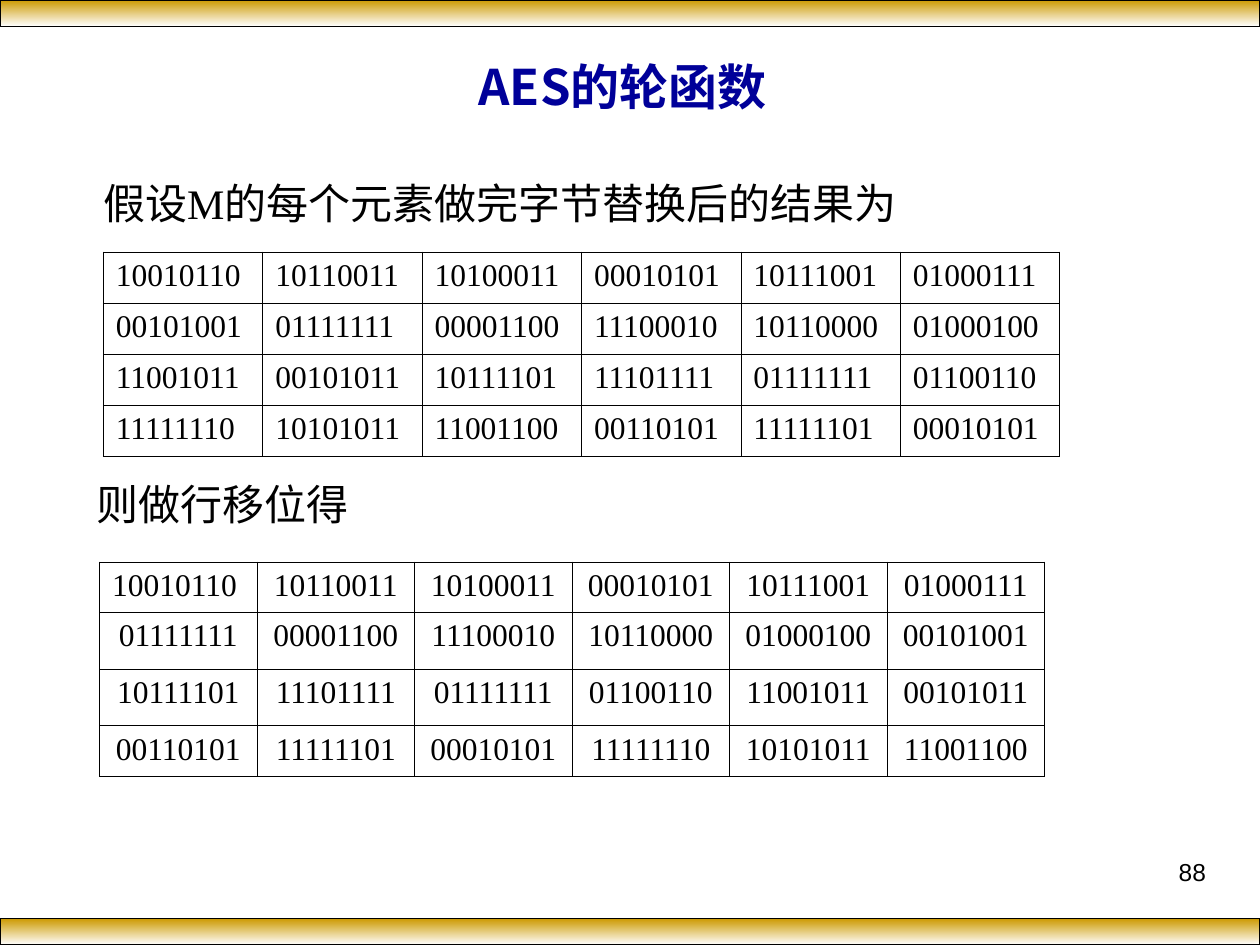
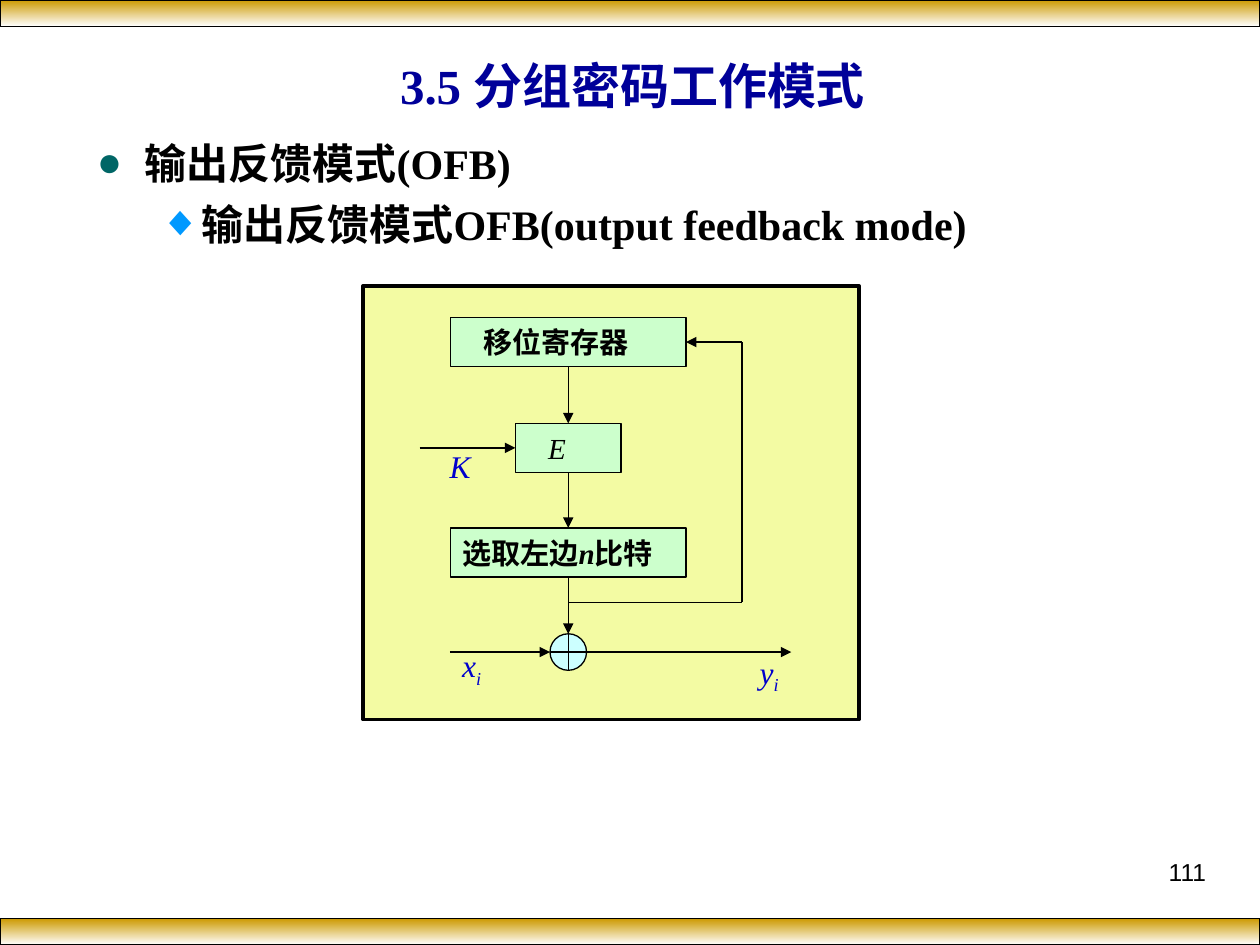
from lxml import etree
from pptx import Presentation
from pptx.dml.color import RGBColor
from pptx.enum.shapes import MSO_CONNECTOR, MSO_SHAPE as SHAPE
from pptx.enum.text import MSO_ANCHOR as ANCHOR, PP_ALIGN as ALIGN
from pptx.oxml.ns import qn
from pptx.util import Inches, Pt

CJK, SERIF, SANS = "Noto Sans CJK SC", "Times New Roman", "Arial"
BLACK, WHITE, GOLD, NAVY, BLUE = "000000", "FFFFFF", "CC9900", "000099", "0000CC"
PANEL, BOX, XOR = "F3FBA3", "CCFFCC", "CCFFFF"

ROUND_TITLE = ("AES的轮函数", CJK, (0.27, 0.37, 9.34, 0.62))
MODE_TITLE = ("3.5 分组密码工作模式", SERIF, (0.52, 0.4, 9, 0.55))

SUBSTITUTED = [
    "10010110 10110011 10100011 00010101 10111001 01000111".split(),
    "00101001 01111111 00001100 11100010 10110000 01000100".split(),
    "11001011 00101011 10111101 11101111 01111111 01100110".split(),
    "11111110 10101011 11001100 00110101 11111101 00010101".split(),
]
# The rows after the row shift; each row moves left by this many columns.
ROW_SHIFTS = [0, 1, 2, 3]
SHIFTED = [row[n:] + row[:n] for row, n in zip(SUBSTITUTED, ROW_SHIFTS)]

CAPTIONS = [
    ("假设M的每个元素做完字节替换后的结果为", (0.72, 1.36, 7.79, 0.5)),
    ("则做行移位得", (0.67, 3.75, 6.59, 0.5)),
]

# text, bullet, bullet colour, left margin, hanging indent
OUTLINE = [
    ("输出反馈模式(OFB)", "●", "006666", 0.38, 0.38),
    ("输出反馈模式OFB(output feedback mode)", "◆", "0099FF", 0.81, 0.31),
]

# text runs, top, width, left indent of the text
STAGES = [
    ([("移位寄存器", {"bold": True})], 2.52, 1.87, 0.16),
    ([("E", {"italic": True})], 3.36, 0.84, 0.16),
    ([("选取左边", {"bold": True}), ("n", {"bold": True, "italic": True}),
      ("比特", {"bold": True})], 4.19, 1.87, 0),
]
# letter, subscript, position
SIGNALS = [
    ("K", "", (3.47, 3.5, 0.34, 0.4)),
    ("x", "i", (3.57, 5.08, 0.54, 0.44)),
    ("y", "i", (5.93, 5.13, 0.54, 0.44)),
]
AXIS_X, STAGE_HEIGHT = 4.51, 0.39
XOR_TOP, XOR_SIZE = 5.03, 0.29
FEEDBACK_X, FEEDBACK_Y = 5.89, 4.78


def rgb(value):
    return RGBColor.from_string(value)


def sub(parent, tag, **attributes):
    return etree.SubElement(parent, qn(tag), **attributes)


def add_run(paragraph, text, size=18, font=SERIF, color=BLACK, bold=False,
            italic=False, baseline=None):
    run = paragraph.add_run()
    run.text = text
    run.font.size, run.font.name = Pt(size), font
    run.font.bold, run.font.italic = bold, italic
    run.font.color.rgb = rgb(color)
    properties = run.font._element
    sub(properties, "a:ea", typeface=CJK)
    if baseline:
        properties.set("baseline", str(baseline))


def write(paragraph, runs, align=ALIGN.LEFT, **style):
    """Fill a paragraph from a string or a list of (text, style) runs."""
    paragraph.alignment = align
    for text, own in [(runs, {})] if isinstance(runs, str) else runs:
        add_run(paragraph, text, **{**style, **own})


def add_frame(slide, at, anchor=ANCHOR.TOP, wrap=True):
    frame = slide.shapes.add_textbox(*map(Inches, at)).text_frame
    frame.word_wrap, frame.vertical_anchor = wrap, anchor
    return frame


def add_label(slide, at, runs, anchor=ANCHOR.TOP, wrap=True, **style):
    write(add_frame(slide, at, anchor, wrap).paragraphs[0], runs, **style)


def add_block(slide, kind, at, fill, line_width=0.75):
    block = slide.shapes.add_shape(kind, *map(Inches, at))
    block.shadow.inherit = False
    if fill:
        block.fill.solid()
        block.fill.fore_color.rgb = rgb(fill)
    block.line.color.rgb = rgb(BLACK)
    block.line.width = Pt(line_width)
    return block


def add_line(slide, start=(0, 0), end=(0, 0), begin=None, finish=None, arrow=True):
    """Draw a line; begin and finish are (shape, side) joints that replace points."""
    line = slide.shapes.add_connector(
        MSO_CONNECTOR.STRAIGHT, *map(Inches, (*start, *end)))
    line.line.color.rgb = rgb(BLACK)
    line.line.width = Pt(0.75)
    if begin:
        line.begin_connect(*begin)
    if finish:
        line.end_connect(*finish)
    if arrow:
        sub(line.line._get_or_add_ln(), "a:tailEnd", type="triangle")
    sub(line._element.spPr, "a:effectLst")


def add_base(deck, title, number):
    """Add a slide with its gold bands, title and page number."""
    slide = deck.slides.add_slide(deck.slide_layouts[6])
    for top in (0, 7.29):
        band = add_block(slide, SHAPE.RECTANGLE, (0, top, 10, 0.21), None)
        band.fill.gradient()
        band.fill.gradient_angle = 270
        for stop, color in zip(band.fill.gradient_stops, (GOLD, WHITE)):
            stop.color.rgb = rgb(color)
    text, font, at = title
    add_label(slide, at, text, ANCHOR.MIDDLE, align=ALIGN.CENTER,
              size=28, font=font, color=NAVY, bold=True)
    add_label(slide, (7.17, 6.75, 2.5, 0.52), number, align=ALIGN.RIGHT,
              size=14, font=SANS)
    return slide


def add_matrix(slide, rows, left, top, column_width, heights, align_of):
    table = slide.shapes.add_table(
        len(rows), len(rows[0]), Inches(left), Inches(top),
        Inches(column_width * len(rows[0])), Inches(sum(heights))).table
    table.first_row = table.horz_banding = False
    for column in table.columns:
        column.width = Inches(column_width)
    for r, (row, height) in enumerate(zip(rows, heights)):
        table.rows[r].height = Inches(height)
        for c, value in enumerate(row):
            cell = table.cell(r, c)
            write(cell.text_frame.paragraphs[0], value, align_of(r, c))
            properties = cell._tc.get_or_add_tcPr()
            for side in ("a:lnL", "a:lnR", "a:lnT", "a:lnB"):
                border = sub(properties, side, w=str(Pt(0.45)))
                sub(sub(border, "a:solidFill"), "a:srgbClr", val=BLACK)
            cell.fill.background()


def add_outline(slide):
    frame = add_frame(slide, (0.67, 1.04, 8.61, 0.99))
    for i, (text, bullet, color, margin, hang) in enumerate(OUTLINE):
        paragraph = frame.add_paragraph() if i else frame.paragraphs[0]
        properties = paragraph._p.get_or_add_pPr()
        properties.set("marL", str(Inches(margin)))
        properties.set("indent", str(-Inches(hang)))
        sub(sub(properties, "a:buClr"), "a:srgbClr", val=color)
        sub(properties, "a:buFont", typeface=SANS)
        sub(properties, "a:buChar", char=bullet)
        if i:
            paragraph.level = 1
            paragraph.space_before = Pt(6)
        write(paragraph, text, size=24, bold=True)


def add_feedback_diagram(slide):
    add_block(slide, SHAPE.RECTANGLE, (2.88, 2.27, 3.94, 3.44), PANEL, 2)

    stages = []
    for runs, top, width, indent in STAGES:
        stage = add_block(slide, SHAPE.RECTANGLE,
                          (AXIS_X - width / 2, top, width, STAGE_HEIGHT), BOX)
        frame = stage.text_frame
        frame.vertical_anchor, frame.word_wrap = ANCHOR.MIDDLE, False
        frame.margin_left = Inches(0.1 + indent)
        write(frame.paragraphs[0], runs, size=16.6)
        stages.append(stage)
    register, cipher, _ = stages

    xor_left, xor_y = AXIS_X - XOR_SIZE / 2, XOR_TOP + XOR_SIZE / 2
    xor = add_block(slide, SHAPE.FLOWCHART_OR,
                    (xor_left, XOR_TOP, XOR_SIZE, XOR_SIZE), XOR)

    for upper, lower in zip(stages, stages[1:] + [xor]):
        add_line(slide, begin=(upper, 2), finish=(lower, 0))
    key_y = STAGES[1][1] + STAGE_HEIGHT / 2
    add_line(slide, (3.33, key_y), finish=(cipher, 1))
    add_line(slide, (3.57, xor_y), (xor_left, xor_y))
    add_line(slide, (xor_left + XOR_SIZE, xor_y), (6.28, xor_y))

    register_y = STAGES[0][1] + STAGE_HEIGHT / 2
    corner, turn = (FEEDBACK_X, FEEDBACK_Y), (FEEDBACK_X, register_y)
    add_line(slide, (AXIS_X, FEEDBACK_Y), corner, arrow=False)
    add_line(slide, corner, turn, arrow=False)
    add_line(slide, turn, finish=(register, 3))

    for letter, index, at in SIGNALS:
        runs = [(letter, {})] + ([(index, {"baseline": -25000})] if index else [])
        add_label(slide, at, runs, wrap=False, color=BLUE, italic=True)


def main():
    deck = Presentation()
    deck.slide_width, deck.slide_height = Inches(10), Inches(7.5)

    round_slide = add_base(deck, ROUND_TITLE, "88")
    for text, at in CAPTIONS:
        add_label(round_slide, at, text, size=24)
    add_matrix(round_slide, SUBSTITUTED, 0.82, 2, 1.265, [0.405] * 4,
               lambda r, c: ALIGN.LEFT)
    add_matrix(round_slide, SHIFTED, 0.79, 4.46, 1.25, [0.4, 0.45, 0.45, 0.4],
               lambda r, c: ALIGN.CENTER if r or c else ALIGN.LEFT)

    mode_slide = add_base(deck, MODE_TITLE, "111")
    add_outline(mode_slide)
    add_feedback_diagram(mode_slide)
    deck.save("out.pptx")


if __name__ == "__main__":
    main()
